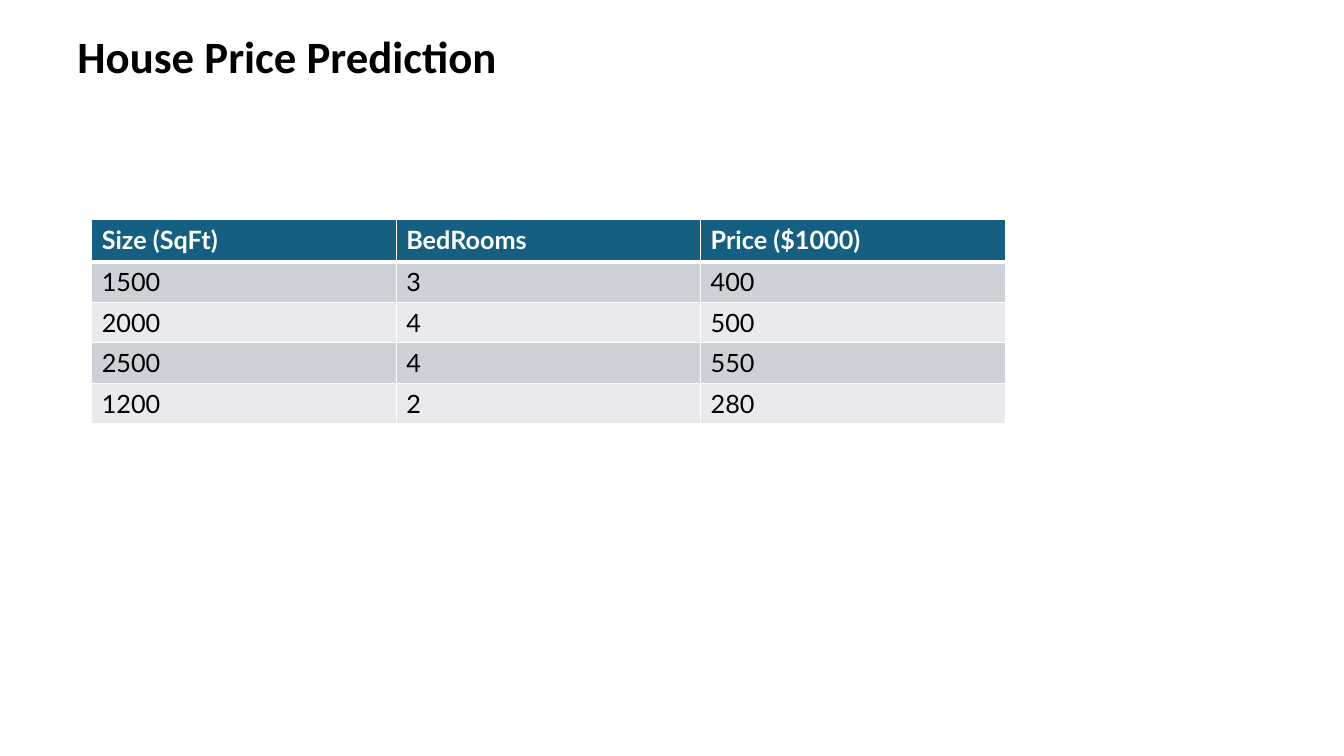
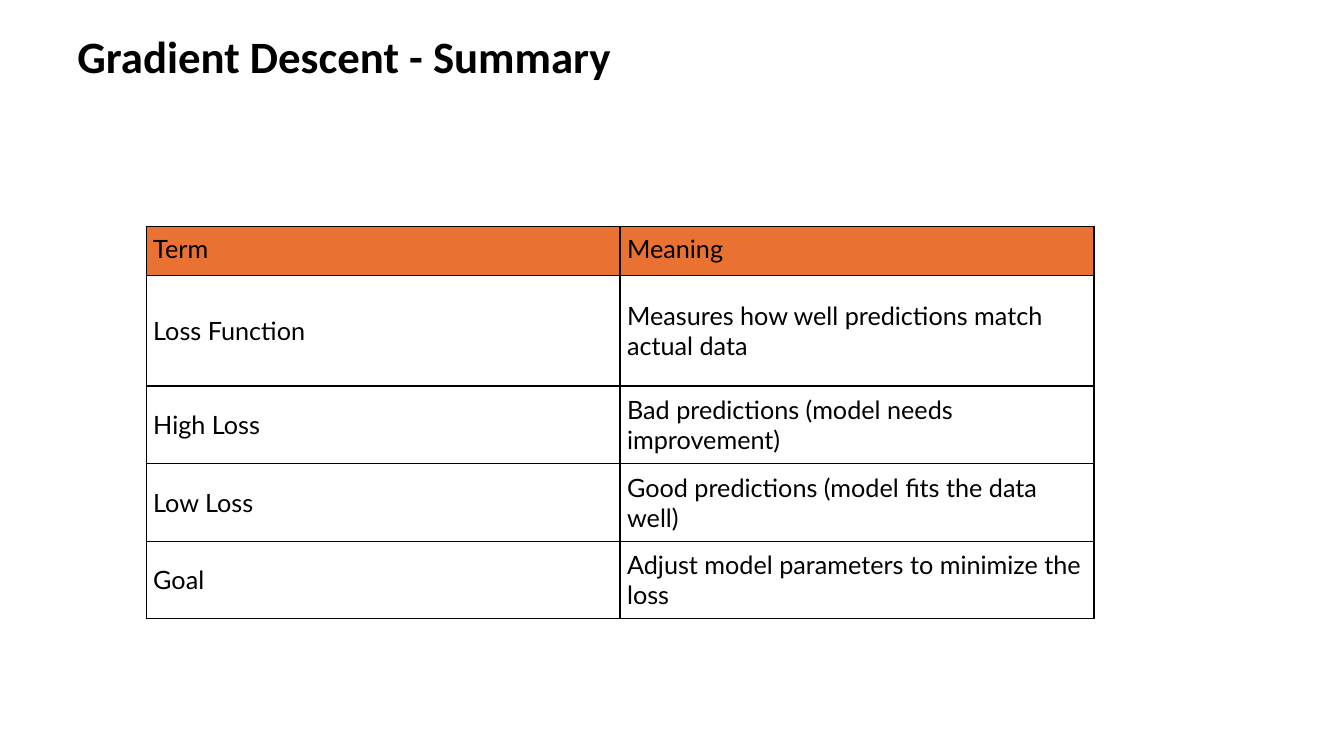
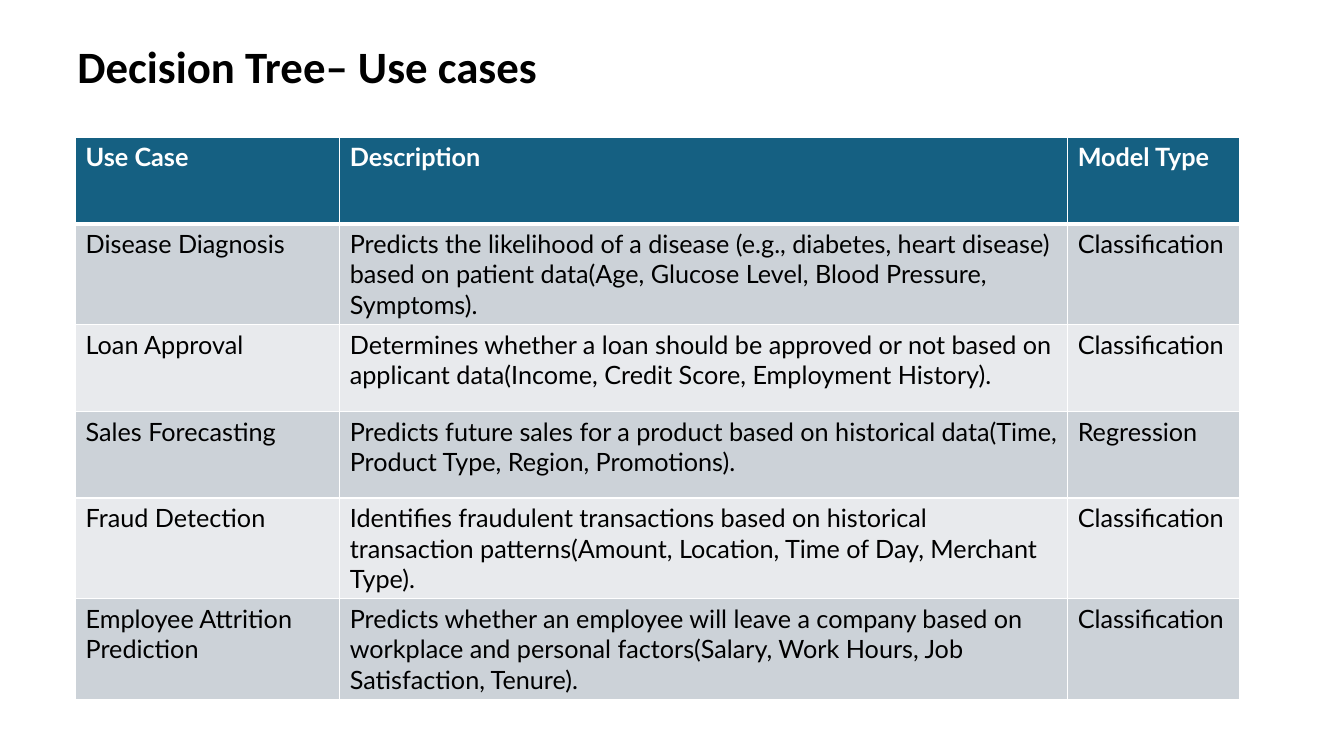
"""Build three machine-learning slides, each a title above a table."""
from dataclasses import dataclass

from lxml.etree import SubElement
from pptx import Presentation
from pptx.dml.color import RGBColor
from pptx.enum.text import MSO_ANCHOR
from pptx.oxml.ns import qn
from pptx.util import Inches, Pt


@dataclass(frozen=True)
class Theme:
    title_font: str = "Calibri"
    body_font: str = "Lato"
    title_size: int = 32
    body_size: int = 18
    black: str = "000000"
    white: str = "FFFFFF"
    blue: str = "156082"
    orange: str = "E97132"
    bands: tuple = ("CCD2D8", "E8EAED")


@dataclass(frozen=True)
class TableStyle:
    header_fill: str
    header_color: str
    header_bold: bool
    header_rule: int
    header_margins: tuple
    bands: tuple
    border: str
    margins: tuple
    anchor: MSO_ANCHOR


THEME = Theme()
BANDED = TableStyle(THEME.blue, THEME.white, True, 3, (0.1, 0.05), THEME.bands,
                    THEME.white, (0.1, 0.05), MSO_ANCHOR.TOP)
GRID = TableStyle(THEME.orange, THEME.black, False, 1, (0.07, 0.07), (None,),
                  THEME.black, (0.07, 0.05), MSO_ANCHOR.MIDDLE)

SLIDES = [
    {
        "title": "House Price Prediction",
        "title_height": 1.01,
        "style": BANDED,
        "origin": (0.91, 2.18),
        "columns": [3.02] * 3,
        "heights": [0.42] + [0.4] * 4,
        "rows": [
            ("Size (SqFt)", "BedRooms", "Price ($1000)"),
            ("1500", "3", "400"),
            ("2000", "4", "500"),
            ("2500", "4", "550"),
            ("1200", "2", "280"),
        ],
    },
    {
        "title": "Gradient Descent - Summary",
        "title_height": 1.01,
        "style": GRID,
        "origin": (1.45, 2.25),
        "columns": [4.7] * 2,
        "heights": [0.48, 1.1] + [0.77] * 3,
        "rows": [
            ("Term", "Meaning"),
            ("Loss Function", "Measures how well predictions match actual data"),
            ("High Loss", "Bad predictions (model needs improvement)"),
            ("Low Loss", "Good predictions (model fits the data well)"),
            ("Goal", "Adjust model parameters to minimize the loss"),
        ],
    },
    {
        "title": "Decision Tree– Use cases",
        "title_height": 1.2,
        "style": BANDED,
        "origin": (0.75, 1.36),
        "columns": [2.62, 7.22, 1.71],
        "heights": [0.86] * 6,
        "rows": [
            ("Use Case", "Description", "Model Type"),
            ("Disease Diagnosis",
             "Predicts the likelihood of a disease (e.g., diabetes, heart disease) "
             "based on patient data(Age, Glucose Level, Blood Pressure, Symptoms).",
             "Classification"),
            ("Loan Approval",
             "Determines whether a loan should be approved or not based on "
             "applicant data(Income, Credit Score, Employment History).",
             "Classification"),
            ("Sales Forecasting",
             "Predicts future sales for a product based on historical data(Time, "
             "Product Type, Region, Promotions).",
             "Regression"),
            ("Fraud Detection",
             "Identifies fraudulent transactions based on historical transaction "
             "patterns(Amount, Location, Time of Day, Merchant Type).",
             "Classification"),
            ("Employee Attrition Prediction",
             "Predicts whether an employee will leave a company based on workplace "
             "and personal factors(Salary, Work Hours, Job Satisfaction, Tenure).",
             "Classification"),
        ],
    },
]


def set_font(para, name, size, color, bold):
    font = para.font
    font.name = name
    font.size = Pt(size)
    font.bold = bold
    font.color.rgb = RGBColor.from_string(color)


def add_title(page, text, height):
    box = page.shapes.add_textbox(Inches(0.67), Inches(0.33), Inches(12), Inches(height))
    frame = box.text_frame
    frame.word_wrap = True
    frame.vertical_anchor = MSO_ANCHOR.MIDDLE
    frame.margin_bottom = Inches(0.54)
    para = frame.paragraphs[0]
    para.text = text
    para.line_spacing = 0.9
    set_font(para, THEME.title_font, THEME.title_size, THEME.black, True)


def set_borders(cell, color, top, bottom):
    properties = cell._tc.get_or_add_tcPr()
    for side, width in (("L", 1), ("R", 1), ("T", top), ("B", bottom)):
        line = SubElement(properties, qn(f"a:ln{side}"), w=str(Pt(width)))
        fill = SubElement(line, qn("a:solidFill"))
        SubElement(fill, qn("a:srgbClr"), val=color)


def style_cell(cell, text, row, style):
    is_header = row == 0
    set_borders(cell, style.border,
                top=style.header_rule if row == 1 else 1,
                bottom=style.header_rule if is_header else 1)
    fill = style.header_fill if is_header else style.bands[(row - 1) % len(style.bands)]
    if fill:
        cell.fill.solid()
        cell.fill.fore_color.rgb = RGBColor.from_string(fill)
    else:
        cell.fill.background()
    across, down = style.header_margins if is_header else style.margins
    cell.margin_left = cell.margin_right = Inches(across)
    cell.margin_top = cell.margin_bottom = Inches(down)
    cell.vertical_anchor = MSO_ANCHOR.TOP if is_header else style.anchor
    para = cell.text_frame.paragraphs[0]
    para.text = text
    set_font(para, THEME.body_font, THEME.body_size,
             style.header_color if is_header else THEME.black,
             is_header and style.header_bold)


def add_table(page, content):
    rows, columns, heights = content["rows"], content["columns"], content["heights"]
    left, top = content["origin"]
    table = page.shapes.add_table(
        len(rows), len(columns), Inches(left), Inches(top),
        Inches(sum(columns)), Inches(sum(heights))).table
    table.horz_banding = False
    for column, width in zip(table.columns, columns):
        column.width = Inches(width)
    for row, (texts, height) in enumerate(zip(rows, heights)):
        table.rows[row].height = Inches(height)
        for column, text in enumerate(texts):
            style_cell(table.cell(row, column), text, row, content["style"])


def main():
    deck = Presentation()
    deck.slide_width, deck.slide_height = Inches(13.33), Inches(7.5)
    for content in SLIDES:
        page = deck.slides.add_slide(deck.slide_layouts[6])
        add_title(page, content["title"], content["title_height"])
        add_table(page, content)
    deck.save("out.pptx")


if __name__ == "__main__":
    main()
